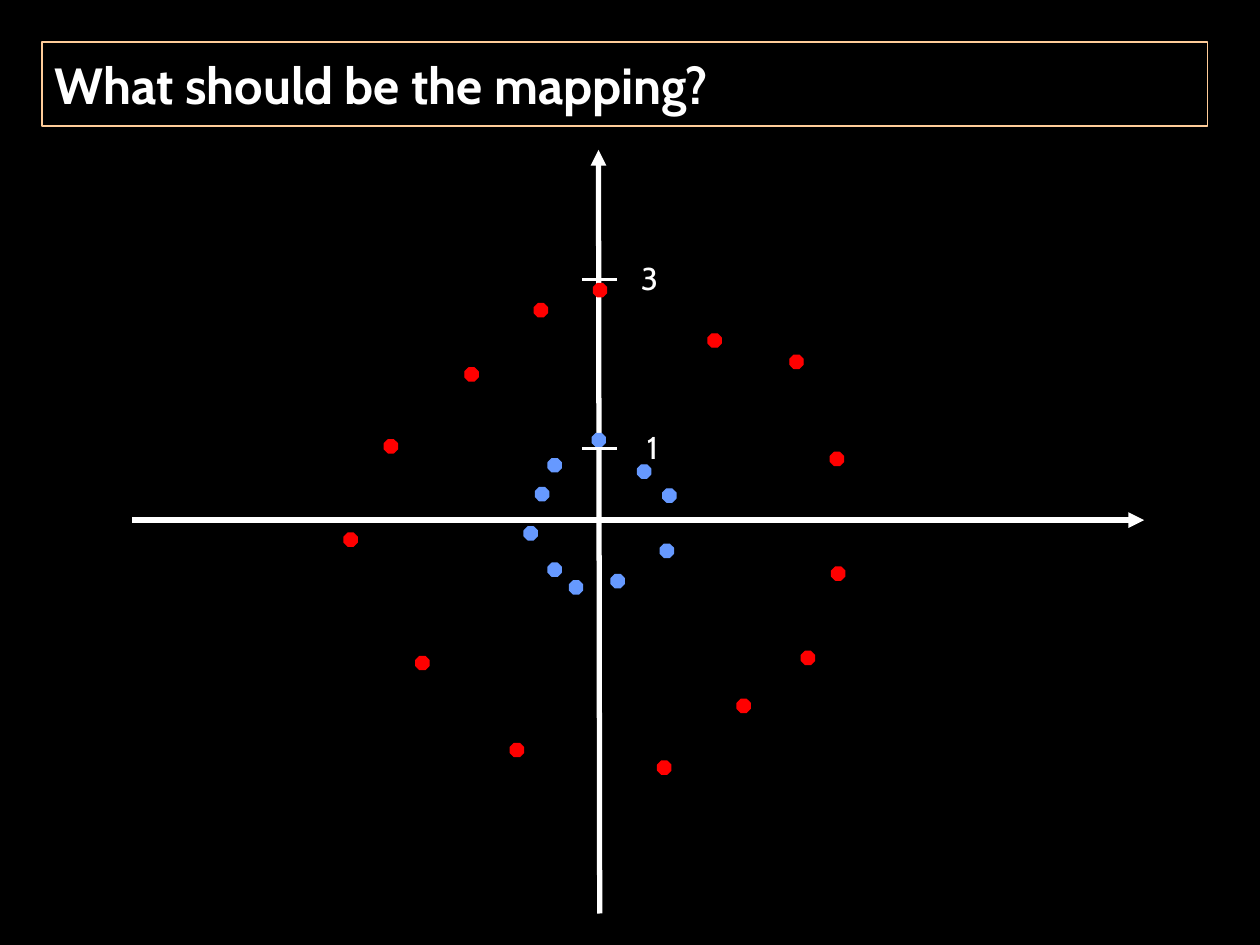
from pptx import Presentation
from pptx.dml.color import RGBColor
from pptx.enum.shapes import MSO_CONNECTOR, MSO_SHAPE
from pptx.enum.text import MSO_ANCHOR, MSO_AUTO_SIZE, PP_ALIGN
from pptx.oxml.ns import qn
from pptx.util import Pt
from lxml import etree

STRAIGHT, OCTAGON = MSO_CONNECTOR.STRAIGHT, MSO_SHAPE.OCTAGON
MIDDLE, NO_FIT, GROW = MSO_ANCHOR.MIDDLE, MSO_AUTO_SIZE.NONE, MSO_AUTO_SIZE.SHAPE_TO_FIT_TEXT
LEFT, RIGHT = PP_ALIGN.LEFT, PP_ALIGN.RIGHT


class Theme:
    background = RGBColor(0x00, 0x00, 0x00)
    ink = RGBColor(0xFF, 0xFF, 0xFF)
    frame = RGBColor(0xFF, 0xCC, 0x99)
    outer = RGBColor(0xFF, 0x00, 0x00)
    inner = RGBColor(0x66, 0x99, 0xFF)
    font = "Cabin"
    title_size = Pt(29)
    label_size = Pt(18)


def add_line(s, x1, y1, x2, y2, width, arrow=False):
    line = s.shapes.add_connector(STRAIGHT, Pt(x1), Pt(y1), Pt(x2), Pt(y2))
    line.line.color.rgb = Theme.ink
    line.line.width = Pt(width)
    if arrow:
        etree.SubElement(line.line._get_or_add_ln(), qn("a:tailEnd"), type="triangle")
    etree.SubElement(line._element.spPr, qn("a:effectLst"))


def set_text(tf, text, size, align, bold=False):
    tf.text = text
    p = tf.paragraphs[0]
    p.alignment = align
    font = p.runs[0].font
    font.name, font.size, font.bold = Theme.font, size, bold
    font.color.rgb = Theme.ink


prs = Presentation()
prs.slide_width, prs.slide_height = Pt(720), Pt(540)
s = prs.slides.add_slide(prs.slide_layouts[5])
s.background.fill.solid()
s.background.fill.fore_color.rgb = Theme.background

# Title
title = s.shapes.title
title.left, title.top, title.width, title.height = Pt(24), Pt(24), Pt(666), Pt(48)
title.line.color.rgb = Theme.frame
title.line.width = Pt(0.75)
tf = title.text_frame
tf.auto_size = NO_FIT
tf.vertical_anchor = MIDDLE
set_text(tf, "What should be the mapping?", Theme.title_size, LEFT, bold=True)

# Axes
add_line(s, 342.7, 522, 342, 85.7, 3, arrow=True)
add_line(s, 75.6, 297.2, 653.8, 297.2, 3, arrow=True)

# Two rings of points, as left and top of each dot
DOT = 7.5
rings = [
    (Theme.outer, [
        (219.6, 251.3), (451.4, 203), (291.6, 424.8), (375.8, 434.9), (265.7, 210.2),
        (421.2, 399.6), (474.5, 258.5), (196.6, 304.6), (305.3, 173.5), (339.1, 162),
        (404.6, 190.8), (475.2, 324), (457.9, 372.2), (237.6, 375.1)]),
    (Theme.inner, [
        (306, 278.6), (378.7, 279.4), (313.2, 321.8), (364.3, 265.7), (299.5, 301),
        (325.4, 331.9), (349.2, 328.3), (313.2, 262.1), (338.4, 247.7), (377.3, 311)]),
]
for color, dots in rings:
    for x, y in dots:
        dot = s.shapes.add_shape(OCTAGON, Pt(x), Pt(y), Pt(DOT), Pt(DOT))
        dot.shadow.inherit = False
        dot.fill.solid()
        dot.fill.fore_color.rgb = color
        dot.line.color.rgb = color
        dot.line.width = Pt(0.75)

# Ticks and their labels
for label, y in (("1", 256.3), ("3", 159.8)):
    add_line(s, 332.6, y, 352.8, y, 2)
    box = s.shapes.add_textbox(Pt(358.6), Pt(y - 15.4), Pt(24.5), Pt(28.8))
    tf = box.text_frame
    tf.word_wrap = False
    tf.auto_size = GROW
    set_text(tf, label, Theme.label_size, RIGHT)

prs.save("out.pptx")
